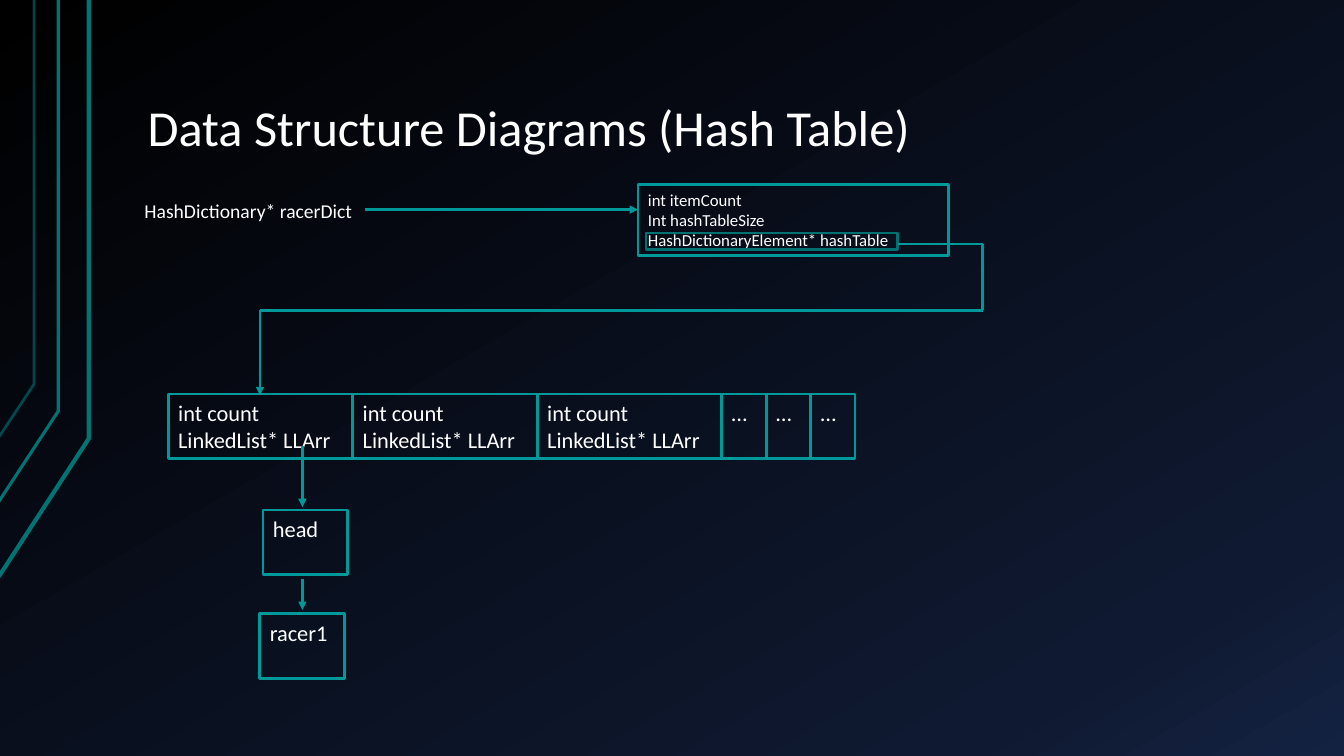
import copy
import dataclasses
import typing

import pptx
import pptx.dml.color
import pptx.enum.dml
import pptx.enum.shapes
import pptx.enum.text
import pptx.oxml
import pptx.oxml.ns
import pptx.util

Cm = pptx.util.Cm
Pt = pptx.util.Pt
RGB = pptx.dml.color.RGBColor
Point = tuple[float, float]


@dataclasses.dataclass(frozen=True)
class Theme:
    font: str = "Calibri"
    text: str = "FFFFFF"
    line: str = "009999"
    field: str = "007171"
    rail: str = "007373"
    background: tuple[tuple[float, str], ...] = (
        (0, "000000"), (0.85, "0F1931"), (1, "142242"))
    title_pt: float = 36
    label_pt: float = 14
    struct_pt: float = 12
    node_pt: float = 16
    line_pt: float = 2


THEME = Theme()


@dataclasses.dataclass(frozen=True)
class Box:
    left: float
    top: float
    width: float
    height: float
    lines: tuple[str, ...] = ()
    size: float = THEME.node_pt
    color: str = THEME.line


@dataclasses.dataclass(frozen=True)
class Route:
    """A chain of straight connectors, with an arrowhead on the last if wanted."""
    points: tuple[Point, ...]


@dataclasses.dataclass(frozen=True)
class Rail:
    x: float
    bend: float
    foot: Point
    width: float
    opacity: int = 100


NODE_H = 1.63
BUCKET_LEFT, BUCKET_TOP = 4.24, 9.93
BUCKET_W, MORE_W = 4.65, 1.12
BUCKETS = MORES = 3
MORE_LEFT = BUCKET_LEFT + BUCKETS * BUCKET_W
CHAIN_X = 7.62

RAILS = (
    Rail(2.24, 11.05, (-0.03, 14.53), 3),
    Rail(1.47, 10.36, (-0.05, 12.67), 2.25),
    Rail(0.86, 9.68, (-0.03, 11.02), 2, opacity=60),
)
BOXES = (
    Box(16.08, 4.65, 7.82, 1.8,
        ("int itemCount", "Int hashTableSize", "HashDictionaryElement* hashTable"),
        THEME.struct_pt),
    *(Box(BUCKET_LEFT + i * BUCKET_W, BUCKET_TOP, BUCKET_W, NODE_H,
          ("int count", "LinkedList* LLArr")) for i in range(BUCKETS)),
    *(Box(MORE_LEFT + i * MORE_W, BUCKET_TOP, MORE_W, NODE_H, ("…",))
      for i in range(MORES)),
    Box(16.28, 5.87, 6.35, 0.41, color=THEME.field),
    Box(6.63, 12.85, 2.13, NODE_H, ("head",)),
    Box(6.55, 15.47, 2.13, NODE_H, ("racer1",)),
)
ROUTES = (
    Route(((9.19, 5.28), (16.08, 5.28))),
    Route(((22.63, 6.15), (24.77, 6.15), (24.77, 7.82), (6.55, 7.82), (6.55, 9.96))),
    Route(((CHAIN_X, 11.23), (CHAIN_X, 12.78))),
    Route(((CHAIN_X, 14.6), (CHAIN_X, 15.37))),
)


def paint_background(s: typing.Any) -> None:
    fill = s.background.fill
    fill.gradient()
    stops = s.element.find(".//" + pptx.oxml.ns.qn("a:gsLst"))
    stops.append(copy.deepcopy(stops[-1]))
    for stop, (position, color) in zip(fill.gradient_stops, THEME.background):
        stop.position = position
        stop.color.rgb = RGB.from_string(color)
    fill.gradient_angle = 300


def style_line(line: typing.Any, color: str, width: float) -> None:
    line.color.rgb = RGB.from_string(color)
    line.width = Pt(width)


def write(tf: typing.Any, lines: tuple[str, ...], size: float) -> None:
    for i, text in enumerate(lines):
        p = tf.add_paragraph() if i else tf.paragraphs[0]
        p.alignment = pptx.enum.text.PP_ALIGN.LEFT
        r = p.add_run()
        r.text = text
        r.font.name = THEME.font
        r.font.size = Pt(size)
        r.font.color.rgb = RGB.from_string(THEME.text)


def draw_rail(s: typing.Any, rail: Rail) -> None:
    builder = s.shapes.build_freeform(Cm(rail.foot[0]), Cm(rail.foot[1]))
    builder.add_line_segments(
        [(Cm(rail.x), Cm(rail.bend)), (Cm(rail.x), Cm(0))], close=False)
    sp = builder.convert_to_shape()
    sp.shadow.inherit = False
    sp.fill.background()
    style_line(sp.line, THEME.rail, rail.width)
    if rail.opacity < 100:
        color = sp.line._get_or_add_ln().find(".//" + pptx.oxml.ns.qn("a:srgbClr"))
        color.append(pptx.oxml.parse_xml(
            f'<a:alpha {pptx.oxml.ns.nsdecls("a")} val="{rail.opacity * 1000}"/>'))


def draw_box(s: typing.Any, box: Box) -> None:
    sp = s.shapes.add_shape(
        pptx.enum.shapes.MSO_SHAPE.RECTANGLE,
        Cm(box.left), Cm(box.top), Cm(box.width), Cm(box.height))
    sp.shadow.inherit = False
    sp.fill.background()
    style_line(sp.line, box.color, THEME.line_pt)
    tf = sp.text_frame
    tf.word_wrap = True
    tf.vertical_anchor = pptx.enum.text.MSO_ANCHOR.TOP
    write(tf, box.lines, box.size)


def draw_route(s: typing.Any, route: Route) -> None:
    ns = pptx.oxml.ns.nsdecls("a")
    for start, end in zip(route.points, route.points[1:]):
        c = s.shapes.add_connector(
            pptx.enum.shapes.MSO_CONNECTOR.STRAIGHT,
            Cm(start[0]), Cm(start[1]), Cm(end[0]), Cm(end[1]))
        style_line(c.line, THEME.line, THEME.line_pt)
        if end == route.points[-1]:
            c.line._get_or_add_ln().append(
                pptx.oxml.parse_xml(f'<a:tailEnd {ns} type="triangle"/>'))
        c.element.spPr.append(pptx.oxml.parse_xml(f"<a:effectLst {ns}/>"))


def draw_title(s: typing.Any) -> None:
    tf = s.shapes.add_textbox(Cm(3.39), Cm(0.76), Cm(28.78), Cm(3.4)).text_frame
    tf.word_wrap = True
    tf.vertical_anchor = pptx.enum.text.MSO_ANCHOR.BOTTOM
    tf.margin_left = tf.margin_right = Cm(0.33)
    tf.margin_top = tf.margin_bottom = Cm(0.18)
    write(tf, ("Data Structure Diagrams (Hash Table)",), THEME.title_pt)
    tf.paragraphs[0].line_spacing = 0.9


def draw_label(s: typing.Any) -> None:
    tf = s.shapes.add_textbox(Cm(3.39), Cm(4.88), Cm(5.82), Cm(0.86)).text_frame
    tf.word_wrap = False
    write(tf, ("HashDictionary* racerDict",), THEME.label_pt)


def main() -> None:
    prs = pptx.Presentation()
    prs.slide_width, prs.slide_height = Cm(33.87), Cm(19.05)
    s = prs.slides.add_slide(prs.slide_layouts[6])
    paint_background(s)
    for rail in RAILS:
        draw_rail(s, rail)
    draw_title(s)
    draw_label(s)
    for box in BOXES:
        draw_box(s, box)
    for route in ROUTES:
        draw_route(s, route)
    prs.save("out.pptx")


if __name__ == "__main__":
    main()
